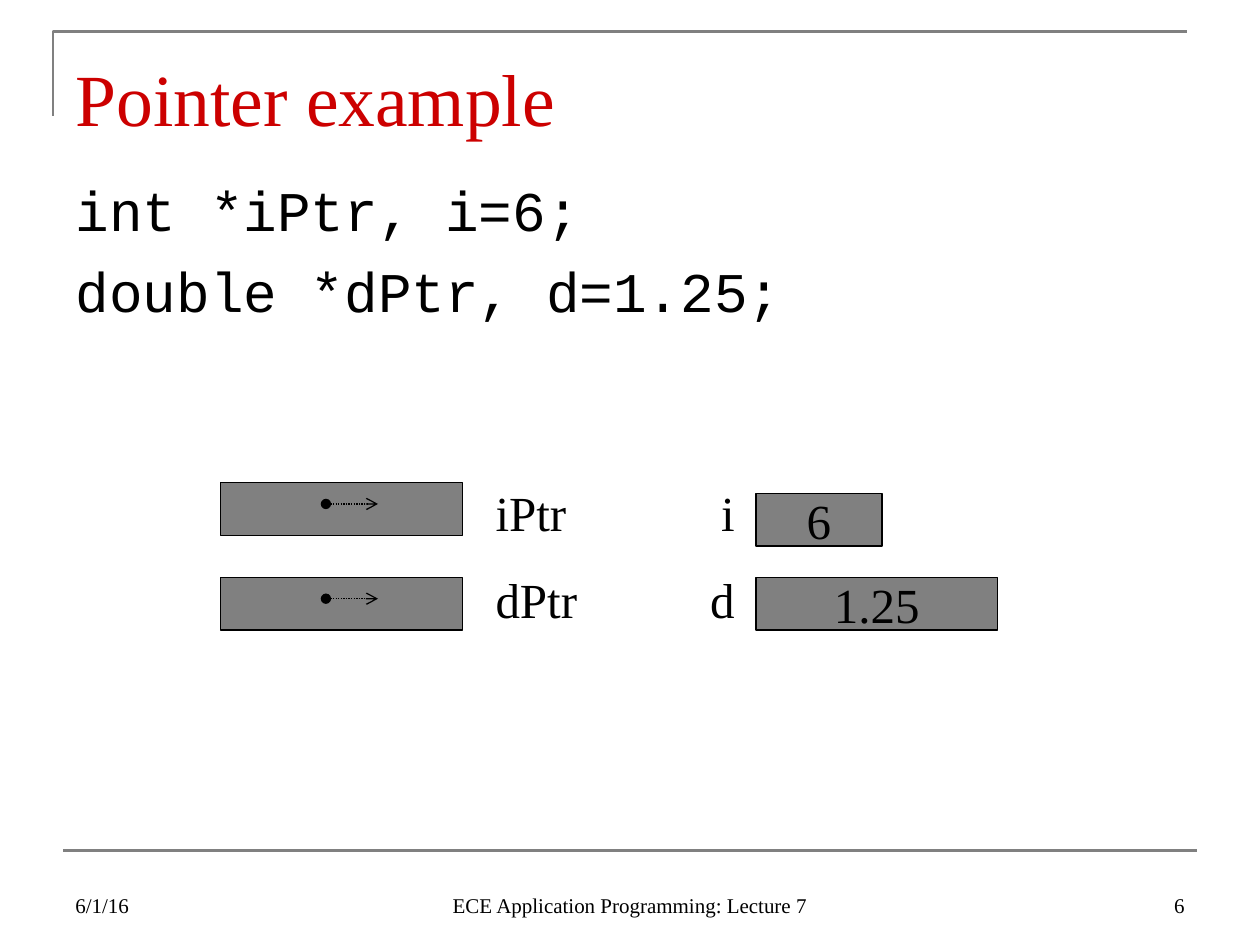
from lxml import etree
from pptx import Presentation
from pptx.dml.color import RGBColor
from pptx.enum.dml import MSO_LINE
from pptx.enum.shapes import MSO_CONNECTOR, MSO_SHAPE
from pptx.enum.text import MSO_ANCHOR, PP_ALIGN
from pptx.oxml.ns import qn
from pptx.util import Cm, Pt

COLORS = {"title": "CC0000", "text": "000000", "gray": "808080"}
SERIF, MONO = "Times New Roman", "Courier New"
LEFT, CENTER, RIGHT = PP_ALIGN.LEFT, PP_ALIGN.CENTER, PP_ALIGN.RIGHT
TOP, MIDDLE, BOTTOM = MSO_ANCHOR.TOP, MSO_ANCHOR.MIDDLE, MSO_ANCHOR.BOTTOM
STRAIGHT, RECTANGLE = MSO_CONNECTOR.STRAIGHT, MSO_SHAPE.RECTANGLE
DOTTED = MSO_LINE.ROUND_DOT


def color(name):
    return RGBColor.from_string(COLORS[name])


def place(shape, left, top, width, height):
    shape.left, shape.top = Cm(left), Cm(top)
    shape.width, shape.height = Cm(width), Cm(height)


def write(shape, lines, size, font=SERIF, ink="text", align=LEFT, anchor=TOP,
          gap=0, wrap=True):
    """Fill a shape with lines; gap is the space between them in points."""
    frame = shape.text_frame
    frame.text = "\n".join(lines)
    frame.word_wrap = wrap
    frame.vertical_anchor = anchor
    for index, paragraph in enumerate(frame.paragraphs):
        paragraph.alignment = align
        paragraph.space_before = Pt(gap if index else 0)
        for run in paragraph.runs:
            run.font.size, run.font.name = Pt(size), font
            run.font.color.rgb = color(ink)


def add_text(slide, box, lines, size, **style):
    shape = slide.shapes.add_textbox(*map(Cm, box))
    write(shape, lines, size, **style)
    return shape


def add_line(slide, start, end, ink, width):
    line = slide.shapes.add_connector(STRAIGHT, *map(Cm, start + end))
    line.line.color.rgb = color(ink)
    line.line.width = Pt(width)
    etree.SubElement(line._element.spPr, qn("a:effectLst"))
    return line


def add_frame(slide, left, top, width, height):
    """Corner bracket above the title and rule above the footer."""
    builder = slide.shapes.build_freeform(Cm(left), Cm(top + 1.69))
    corners = [(Cm(left), Cm(top)), (Cm(left + width), Cm(top))]
    builder.add_line_segments(corners, close=False)
    bracket = builder.convert_to_shape()
    bracket.shadow.inherit = False
    bracket.fill.background()
    bracket.line.color.rgb = color("gray")
    bracket.line.width = Pt(1.5)
    rule_left, rule_top = left + 0.2, top + height
    add_line(slide, (rule_left, rule_top), (rule_left + width, rule_top), "gray", 1.5)


def add_heading(slide, left, top, width):
    """Title and the code declarations below it."""
    title, body = slide.shapes.title, slide.placeholders[1]
    place(title, left, top, width, 1.98)
    title.text_frame.margin_top = Cm(0.3)
    write(title, ["Pointer example"], 42, ink="title")
    place(body, left, top + 2.42, width, 5.08)
    body.text_frame.margin_top = Cm(0.35)
    for_code = ["int *iPtr, i=6;", "double *dPtr, d=1.25;"]
    write(body, for_code, 32, font=MONO, gap=8)
    for paragraph in body.text_frame.paragraphs:
        properties = paragraph._p.get_or_add_pPr()
        properties.set("marL", str(Cm(0.96)))
        properties.set("indent", str(-Cm(0.96)))
        bullet = etree.SubElement(properties, qn("a:buNone"))
        properties.append(bullet)


def add_cell(slide, left, top, width, value=None):
    """One gray memory cell, with its value if it holds one."""
    cell = slide.shapes.add_shape(RECTANGLE, Cm(left), Cm(top), Cm(width), Cm(1.06))
    cell.shadow.inherit = False
    cell.fill.solid()
    cell.fill.fore_color.rgb = color("gray")
    cell.line.color.rgb = color("text")
    cell.line.width = Pt(0.75)
    if value:
        write(cell, [value], 28, align=CENTER, anchor=MIDDLE, wrap=False)


def add_pointer(slide, left, top):
    """Memory cell holding a dotted pointer arrow."""
    add_cell(slide, left, top, 4.87)
    start = (left + 2.12, top + 0.43)
    arrow = add_line(slide, start, (start[0] + 1.05, start[1]), "text", 0.75)
    arrow.line.dash_style = DOTTED
    line = arrow.line._get_or_add_ln()
    etree.SubElement(line, qn("a:headEnd"), type="oval")
    etree.SubElement(line, qn("a:tailEnd"), type="arrow")


def add_memory(slide, left, top):
    """Pointers on the left, the variables on the right."""
    for offset in (0.2, 2.11):
        add_pointer(slide, left, top + offset)
    for offset, names, align in ((5.29, ["iPtr", "dPtr"], LEFT),
                                 (7.86, ["i", "d"], RIGHT)):
        box = (left + offset, top, 2.75, 3.25)
        label = add_text(slide, box, names, 28, align=align, gap=16)
        label.text_frame.margin_top = Cm(0.2)
    for offset, width, value in ((0.42, 2.54, "6"), (2.11, 4.87, "1.25")):
        add_cell(slide, left + 10.79, top + offset, width, value)


def add_footer(slide, left, top, width):
    """Date, lecture name and slide number."""
    side, middle = 5.92, 8.05
    parts = ((left, side, "6/1/16", LEFT),
             (left + (width - middle) / 2, middle,
              "ECE Application Programming: Lecture 7", CENTER),
             (left + width - side, side, "6", RIGHT))
    for part_left, part_width, text, align in parts:
        box = (part_left, top, part_width, 1.27)
        add_text(slide, box, [text], 12, align=align, anchor=BOTTOM)


def main():
    presentation = Presentation()
    presentation.slide_width, presentation.slide_height = Cm(25.4), Cm(19.05)
    slide = presentation.slides.add_slide(presentation.slide_layouts[1])
    add_frame(slide, 1.07, 0.64, 22.86, 16.51)
    add_heading(slide, 1.27, 0.76, 22.86)
    add_memory(slide, 4.45, 9.53)
    add_footer(slide, 1.27, 17.35, 22.86)
    presentation.save("out.pptx")


if __name__ == "__main__":
    main()
